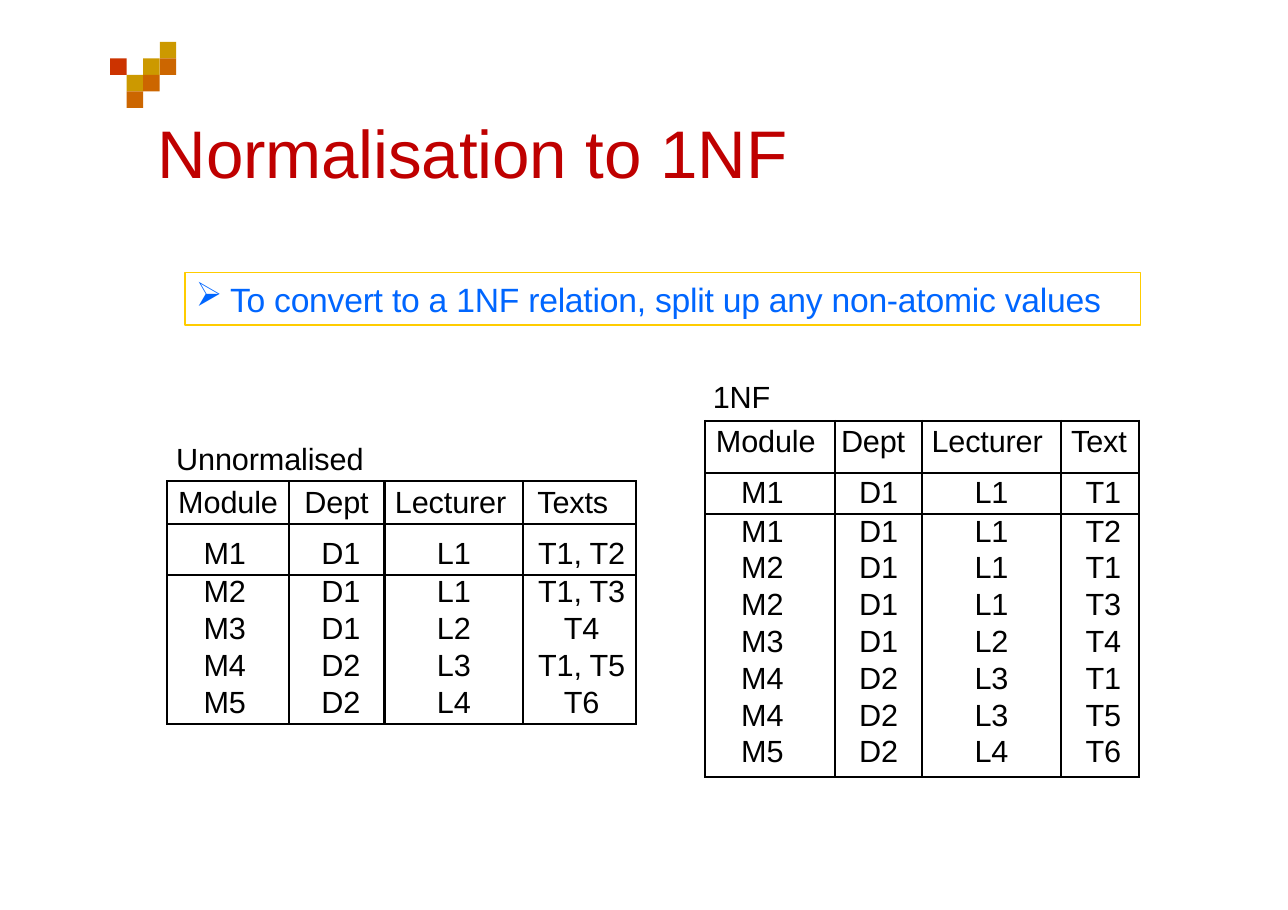
from lxml.etree import SubElement
from pptx import Presentation
from pptx.dml.color import RGBColor
from pptx.enum.shapes import MSO_SHAPE as Shape
from pptx.enum.text import MSO_ANCHOR as Anchor, PP_ALIGN as Align
from pptx.oxml.ns import qn
from pptx.util import Inches, Pt

BLACK = RGBColor(0x00, 0x00, 0x00)
TITLE_RED = RGBColor(0xBF, 0x00, 0x00)
RULE_BLUE = RGBColor(0x00, 0x66, 0xFF)
RULE_YELLOW = RGBColor(0xFF, 0xCC, 0x00)
GOLD = RGBColor(0xCC, 0x99, 0x00)
ORANGE = RGBColor(0xCC, 0x66, 0x00)
RED = RGBColor(0xCC, 0x33, 0x00)

FONT = "Arial"
NO_STYLE = "{2D5ABB26-0587-4C30-8999-92F81FD0307C}"
THIN, HEAVY = 1.5, 2.25
SQUARE = 0.15
SQUARES = [(0, 3, GOLD), (1, 2, GOLD), (2, 1, GOLD),
           (1, 3, ORANGE), (2, 2, ORANGE), (3, 1, ORANGE), (1, 0, RED)]

UNNORMALISED = [
    ("Module", "Dept", "Lecturer", "Texts"),
    ("M1", "D1", "L1", "T1, T2"),
    ("M2", "D1", "L1", "T1, T3"),
    ("M3", "D1", "L2", "T4"),
    ("M4", "D2", "L3", "T1, T5"),
    ("M5", "D2", "L4", "T6"),
]
FIRST_FORM = [
    ("Module", "Dept", "Lecturer", "Text"),
    ("M1", "D1", "L1", "T1"),
    ("M1", "D1", "L1", "T2"),
    ("M2", "D1", "L1", "T1"),
    ("M2", "D1", "L1", "T3"),
    ("M3", "D1", "L2", "T4"),
    ("M4", "D2", "L3", "T1"),
    ("M4", "D2", "L3", "T5"),
    ("M5", "D2", "L4", "T6"),
]


def set_text(frame, text, size, color, align=Align.LEFT, spacing=-0.1):
    frame.text = text
    para = frame.paragraphs[0]
    para.alignment = align
    for span in para.runs:
        span.font.name = FONT
        span.font.size = Pt(size)
        span.font.color.rgb = color
        span._r.get_or_add_rPr().set("spc", str(round(spacing * 100)))


def clear_margins(frame):
    frame.margin_left = frame.margin_right = 0
    frame.margin_top = frame.margin_bottom = 0


def add_title(page, text):
    title = page.shapes.title
    title.left, title.top = Inches(1.43), Inches(1.01)
    title.width, title.height = Inches(6.5), Inches(0.7)
    frame = title.text_frame
    clear_margins(frame)
    frame.vertical_anchor = Anchor.TOP
    set_text(frame, text, 44, TITLE_RED)


def add_squares(page):
    for row, column, color in SQUARES:
        square = page.shapes.add_shape(
            Shape.RECTANGLE, Inches(1 + column * SQUARE),
            Inches(0.38 + row * SQUARE), Inches(SQUARE), Inches(SQUARE))
        square.shadow.inherit = False
        square.fill.solid()
        square.fill.fore_color.rgb = color
        square.line.fill.background()


def add_rule_box(page, text):
    box = page.shapes.add_shape(
        Shape.RECTANGLE, Inches(1.68), Inches(2.47), Inches(8.67), Inches(0.48))
    box.shadow.inherit = False
    box.fill.background()
    box.line.color.rgb = RULE_YELLOW
    box.line.width = Pt(0.75)
    frame = box.text_frame
    clear_margins(frame)
    frame.margin_left = Inches(0.1)
    frame.vertical_anchor = Anchor.MIDDLE
    set_text(frame, text, 22, RULE_BLUE, spacing=-0.14)
    properties = frame.paragraphs[0]._p.get_or_add_pPr()
    properties.set("marL", str(Inches(0.31)))
    properties.set("indent", str(-Inches(0.31)))
    SubElement(properties, qn("a:buChar")).set("char", "➢")


def add_label(page, text, left, top):
    box = page.shapes.add_textbox(
        Inches(left), Inches(top), Inches(2.5), Inches(0.32))
    frame = box.text_frame
    frame.word_wrap = True
    clear_margins(frame)
    set_text(frame, text, 20, BLACK)


def set_border(cell, side, width):
    line = SubElement(cell._tc.get_or_add_tcPr(), qn("a:ln" + side))
    line.set("w", str(Pt(width)))
    if width:
        fill = SubElement(line, qn("a:solidFill"))
        SubElement(fill, qn("a:srgbClr")).set("val", str(BLACK))
    else:
        SubElement(line, qn("a:noFill"))


def add_relation(page, left, top, widths, heights, rows,
                 insets, head_shifts, body_shifts, heavy_edge=None):
    row_count, column_count = len(rows), len(widths)
    table = page.shapes.add_table(
        row_count, column_count, Inches(left), Inches(top),
        Inches(sum(widths)), Inches(sum(heights))).table
    table.first_row = table.horz_banding = False
    table._tbl.tblPr.find(qn("a:tableStyleId")).text = NO_STYLE
    for column, width in zip(table.columns, widths):
        column.width = Inches(width)
    for row, height in zip(table.rows, heights):
        row.height = Inches(height)

    across = [THIN if edge in (0, 1, 2, row_count) else 0
              for edge in range(row_count + 1)]
    down = [HEAVY if edge == heavy_edge else THIN
            for edge in range(column_count + 1)]
    for r, values in enumerate(rows):
        shifts = body_shifts if r else head_shifts
        for c, value in enumerate(values):
            cell = table.cell(r, c)
            cell.margin_left = Inches(max(0, 2 * shifts[c]))
            cell.margin_right = Inches(max(0, -2 * shifts[c]))
            cell.margin_top = Inches(insets[r] if r < len(insets) else 0)
            cell.margin_bottom = 0
            set_text(cell.text_frame, value, 20, BLACK, Align.CENTER)
            set_border(cell, "L", down[c])
            set_border(cell, "R", down[c + 1])
            set_border(cell, "T", across[r])
            set_border(cell, "B", across[r + 1])
            cell.fill.background()


def main():
    deck = Presentation()
    deck.slide_width, deck.slide_height = Inches(11.69), Inches(8.26)
    page = deck.slides.add_slide(deck.slide_layouts[5])
    add_squares(page)
    add_title(page, "Normalisation to 1NF")
    add_rule_box(page, "To convert to a 1NF relation, split up any non-atomic values")
    add_label(page, "Unnormalised", 1.6, 3.99)
    add_relation(page, 1.52, 4.37, [1.1, 0.87, 1.26, 1.02],
                 [0.39, 0.46] + [0.33] * 3 + [0.35], UNNORMALISED,
                 insets=[0.04, 0.11], head_shifts=[0, 0, -0.03, -0.06],
                 body_shifts=[-0.03, 0.04, 0, 0.02], heavy_edge=2)
    add_label(page, "1NF", 6.47, 3.43)
    add_relation(page, 6.4, 3.82, [1.18, 0.79, 1.26, 0.71],
                 [0.47, 0.38] + [0.33] * 6 + [0.38], FIRST_FORM,
                 insets=[0.04, 0.03], head_shifts=[-0.04, -0.05, -0.04, -0.01],
                 body_shifts=[-0.07, 0, 0, 0.03])
    deck.save("out.pptx")


if __name__ == "__main__":
    main()
